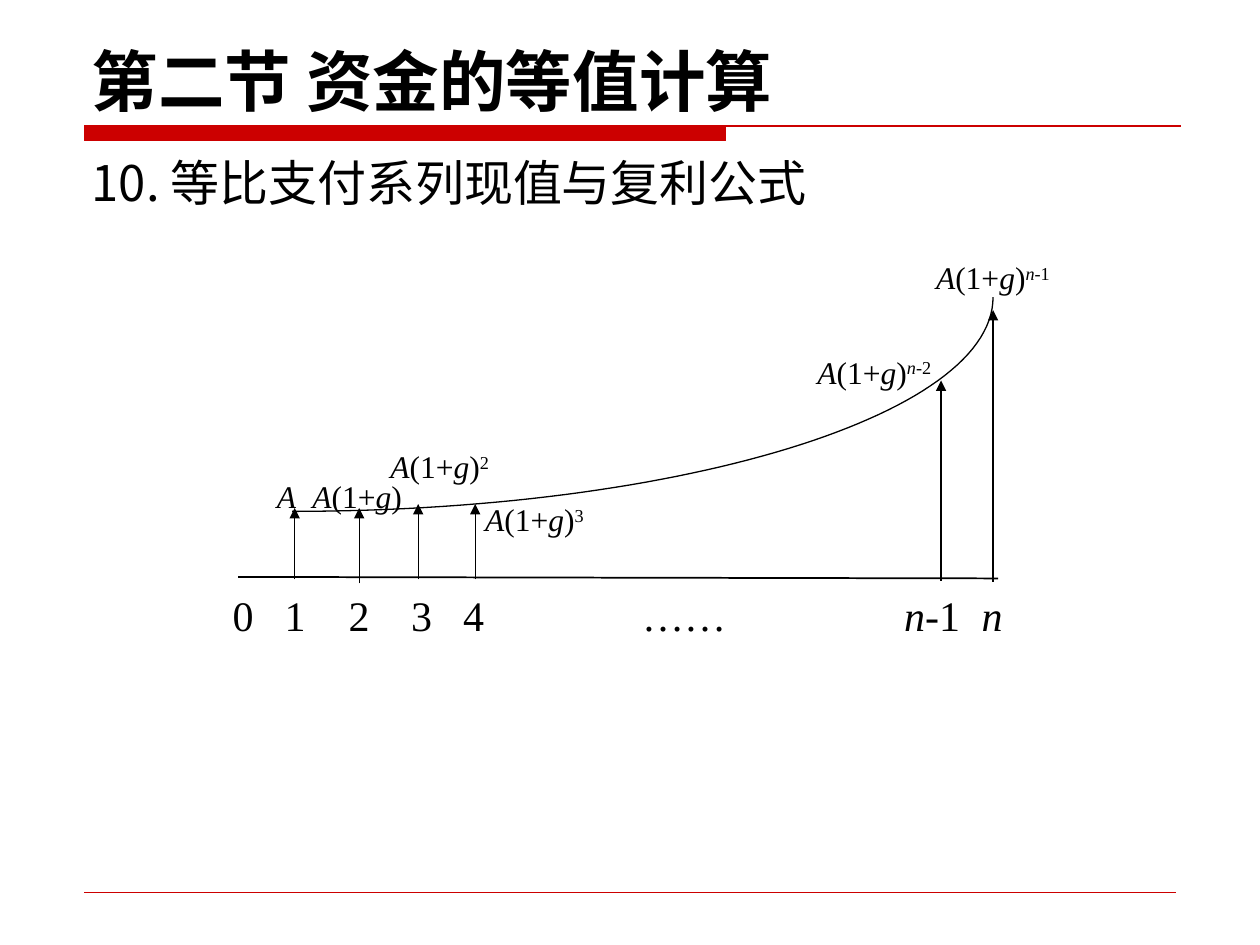
from lxml import etree
from pptx import Presentation
from pptx.dml.color import RGBColor
from pptx.enum.shapes import MSO_CONNECTOR, MSO_SHAPE
from pptx.enum.text import MSO_ANCHOR, PP_ALIGN
from pptx.oxml.ns import qn
from pptx.util import Cm, Pt

BLACK = RGBColor(0x00, 0x00, 0x00)
RED = RGBColor(0xCC, 0x00, 0x00)
HEADING_FONT = "Noto Sans CJK SC"
MATH_FONT = "Times New Roman"
STRAIGHT = MSO_CONNECTOR.STRAIGHT
RECTANGLE = MSO_SHAPE.RECTANGLE
TOP, MIDDLE, BOTTOM = MSO_ANCHOR.TOP, MSO_ANCHOR.MIDDLE, MSO_ANCHOR.BOTTOM
LEFT, CENTER = PP_ALIGN.LEFT, PP_ALIGN.CENTER

ARROWS = [
    (5.94, 11.68, 10.24),
    (7.24, 11.76, 10.24),
    (8.43, 11.68, 10.16),
    (9.58, 11.68, 10.16),
    (18.97, 11.71, 7.67),
    (20.02, 11.73, 6.25),
]
CURVE = [(5.89, 10.31), (13.69, 10.31), (20.02, 8.38), (20.02, 5.99)]
CURVE_STEPS = 60
PERIODS = [
    (4.9, [("0", "")]),
    (5.95, [("1", "")]),
    (7.24, [("2", "")]),
    (8.5, [("3", "")]),
    (9.55, [("4", "")]),
    (13.79, [("……", "")]),
    (18.79, [("n", "italic"), ("-1", "")]),
    (20.0, [("n", "italic")]),
]
GROWTH = [("A", "italic"), ("(1+", ""), ("g", "italic"), (")", "")]
PAYMENTS = [
    (5.33, 9.5, GROWTH[:1]),
    (6.05, 9.5, GROWTH),
    (7.62, 8.89, GROWTH + [("2", "super")]),
    (9.53, 9.96, GROWTH + [("3", "super")]),
    (16.23, 6.99, GROWTH + [("n", "italic super"), ("-2", "super")]),
    (18.62, 5.08, GROWTH + [("n", "italic super"), ("-1", "super")]),
]


def bezier(points, t):
    while len(points) > 1:
        points = [
            (x1 + (x2 - x1) * t, y1 + (y2 - y1) * t)
            for (x1, y1), (x2, y2) in zip(points, points[1:])
        ]
    return points[0]


class SlideBuilder:
    def __init__(self, slide):
        self.shapes = slide.shapes

    def bar(self, left, top, width, height, color):
        shape = self.shapes.add_shape(
            RECTANGLE, Cm(left), Cm(top), Cm(width), Cm(height)
        )
        shape.shadow.inherit = False
        shape.fill.solid()
        shape.fill.fore_color.rgb = color
        shape.line.color.rgb = color
        shape.line.width = Pt(0.75)

    def line(self, start, end, color=BLACK, weight=0.75, arrow=False):
        line = self.shapes.add_connector(
            STRAIGHT, *(Cm(value) for value in (*start, *end))
        )
        line.line.color.rgb = color
        line.line.width = Pt(weight)
        properties = line._element.spPr
        if arrow:
            outline = properties.find(qn("a:ln"))
            etree.SubElement(outline, qn("a:tailEnd"), type="triangle")
        etree.SubElement(properties, qn("a:effectLst"))

    def curve(self, points):
        start, *rest = [(Cm(x), Cm(y)) for x, y in points]
        builder = self.shapes.build_freeform(*start)
        builder.add_line_segments(rest, close=False)
        shape = builder.convert_to_shape()
        shape.shadow.inherit = False
        shape.fill.background()
        shape.line.color.rgb = BLACK
        shape.line.width = Pt(0.75)

    def text(self, left, top, width, height, parts, size, font=MATH_FONT,
             bold=False, anchor=TOP, align=LEFT, wrap=True):
        box = self.shapes.add_textbox(Cm(left), Cm(top), Cm(width), Cm(height))
        frame = box.text_frame
        frame.word_wrap = wrap
        frame.vertical_anchor = anchor
        para = frame.paragraphs[0]
        para.alignment = align
        for content, style in parts:
            span = para.add_run()
            span.text = content
            span.font.name = font
            span.font.size = Pt(size)
            span.font.bold = bold
            span.font.italic = "italic" in style
            span.font.color.rgb = BLACK
            properties = span._r.get_or_add_rPr()
            etree.SubElement(properties, qn("a:ea"), typeface=font)
            if "super" in style:
                properties.set("baseline", "30000")
        return frame

    def period(self, center, parts):
        width = 2.4
        frame = self.text(center - width / 2, 11.86, width, 1.09, parts, 24,
                          align=CENTER)
        frame.margin_left = frame.margin_right = Cm(0.03)
        frame.margin_top = frame.margin_bottom = Cm(0.03)


def main():
    deck = Presentation()
    deck.slide_width, deck.slide_height = Cm(25.4), Cm(19.05)
    page = SlideBuilder(deck.slides.add_slide(deck.slide_layouts[6]))

    page.bar(1.7, 2.54, 12.93, 0.3, RED)
    page.line((1.7, 2.54), (23.8, 2.54), RED)
    page.line((1.7, 17.98), (23.7, 17.98), RED, 0.25)
    page.text(1.6, 0, 22.22, 2.54, [("第二节 资金的等值计算", "")], 38,
              HEADING_FONT, bold=True, anchor=BOTTOM)
    page.text(1.6, 3.33, 19.68, 0.69, [("10. 等比支付系列现值与复利公式", "")],
              28, HEADING_FONT, anchor=MIDDLE)

    page.line((4.8, 11.63), (20.12, 11.66), weight=1)
    for x, base, tip in ARROWS:
        page.line((x, base), (x, tip), arrow=True)
    page.curve([bezier(CURVE, step / CURVE_STEPS)
                for step in range(CURVE_STEPS + 1)])
    for center, parts in PERIODS:
        page.period(center, parts)
    for left, top, parts in PAYMENTS:
        page.text(left, top, 2.87, 1.02, parts, 18, wrap=False)

    deck.save("out.pptx")


if __name__ == "__main__":
    main()
